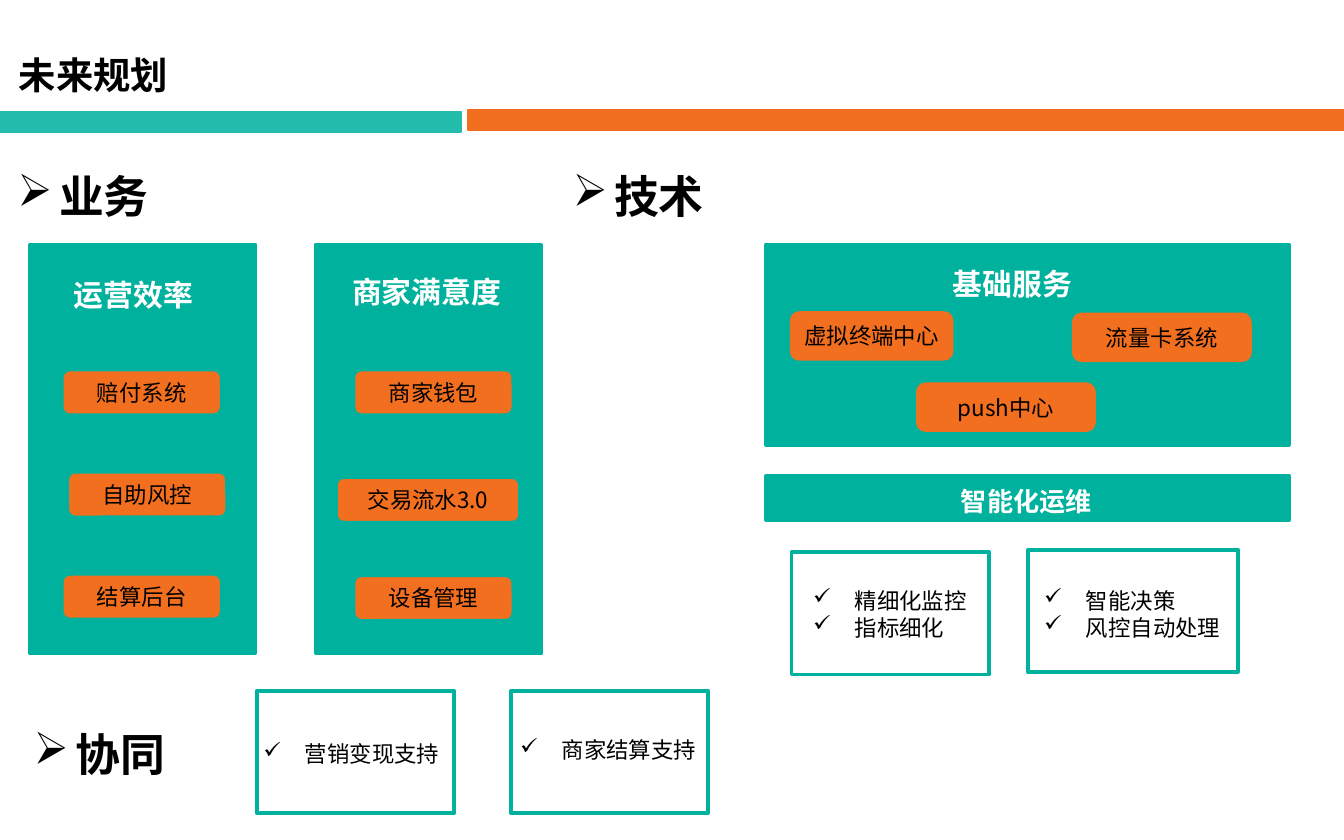
from lxml.etree import SubElement
from pptx import Presentation
from pptx.dml.color import RGBColor
from pptx.enum.shapes import MSO_SHAPE as Shape
from pptx.enum.text import MSO_ANCHOR as Anchor, MSO_AUTO_SIZE as AutoSize, PP_ALIGN as Align
from pptx.oxml.ns import qn
from pptx.util import Inches, Pt

FONT = "Noto Sans CJK SC"
TEAL, LIGHT_TEAL, ORANGE = "00B29D", "24BDAD", "F36F20"
BLACK, WHITE = "000000", "FFFFFF"

# Content: places are left, top, width, height in inches
TITLE = ("未来规划", (0.08, 0.33, 5.43, 0.45))
HEADER_BARS = [((0, 0.83, 3.43, 0.15), LIGHT_TEAL), ((3.48, 0.82, 6.52, 0.15), ORANGE)]
SECTIONS = [("业务", 0.08, 1.21), ("技术", 4.21, 1.21), ("协同", 0.2, 5.36)]

# Panel place, heading, heading place, heading size
PANELS = [
    ((0.22, 1.82, 1.68, 3.04), "运营效率", (0.5, 2.01, 1, 0.37), 16),
    ((2.35, 1.82, 1.68, 3.04), "商家满意度", (2.57, 1.99, 1.22, 0.37), 16),
    ((5.7, 1.82, 3.89, 1.49), "基础服务", (7.04, 1.93, 1, 0.37), 16),
    ((5.7, 3.54, 3.89, 0.33), "智能化运维", (7.1, 3.56, 1.08, 0.34), 14),
]

# Outline colour, then label, left, top, width of each button
BUTTON_HEIGHT = 0.34
BUTTONS = {
    TEAL: [
        ("赔付系统", 0.46, 2.75, 1.19),
        ("自助风控", 0.5, 3.51, 1.19),
        ("结算后台", 0.46, 4.27, 1.19),
        ("商家钱包", 2.63, 2.75, 1.19),
        ("交易流水3.0", 2.5, 3.55, 1.37),
        ("设备管理", 2.63, 4.28, 1.19),
    ],
    ORANGE: [
        ("虚拟终端中心", 5.89, 2.33, 1.19),
        ("流量卡系统", 7.99, 2.34, 1.31),
        ("push中心", 6.83, 2.86, 1.31),
    ],
}

# Frame place, checked items, list place
CHECKLISTS = [
    ((5.89, 4.11, 1.47, 0.91), ["精细化监控", "指标细化"], (6, 4.32, 1.26, 0.5)),
    ((7.65, 4.09, 1.56, 0.91), ["智能决策", "风控自动处理"], (7.72, 4.32, 1.43, 0.5)),
    ((1.91, 5.14, 1.47, 0.91), ["营销变现支持"], (1.91, 5.46, 1.43, 0.3)),
    ((3.8, 5.14, 1.47, 0.91), ["商家结算支持"], (3.82, 5.43, 1.43, 0.3)),
]


def rgb(value):
    return RGBColor.from_string(value)


def add_block(slide, place, fill, line, kind=Shape.RECTANGLE, line_width=2):
    shape = slide.shapes.add_shape(kind, *map(Inches, place))
    shape.shadow.inherit = False
    shape.fill.solid()
    shape.fill.fore_color.rgb = rgb(fill)
    shape.line.color.rgb = rgb(line)
    shape.line.width = Pt(line_width)
    return shape


def write(shape, lines, size, color=BLACK, bold=False, align=Align.LEFT,
          bullet=None, wrap=False, inset=0.05):
    frame = shape.text_frame
    frame.text = "\n".join(lines)
    frame.word_wrap = wrap
    frame.auto_size = AutoSize.SHAPE_TO_FIT_TEXT
    frame.margin_left = frame.margin_right = Inches(inset)
    frame.margin_top = frame.margin_bottom = Inches(inset)
    for paragraph in frame.paragraphs:
        paragraph.alignment = align
        if bullet:
            properties = paragraph._p.get_or_add_pPr()
            properties.set("marL", str(Inches(0.31)))
            properties.set("indent", str(-Inches(0.31)))
            SubElement(properties, qn("a:buChar"), char=bullet)
        for run in paragraph.runs:
            run.font.size = Pt(size)
            run.font.bold = bold
            run.font.color.rgb = rgb(color)
            run.font.name = FONT
            SubElement(run._r.get_or_add_rPr(), qn("a:ea"), typeface=FONT)


def add_text(slide, place, lines, size, **style):
    write(slide.shapes.add_textbox(*map(Inches, place)), lines, size, **style)


def main():
    presentation = Presentation()
    presentation.slide_width, presentation.slide_height = Inches(10), Inches(6.25)
    slide = presentation.slides.add_slide(presentation.slide_layouts[6])

    # Header
    for place, color in HEADER_BARS:
        add_block(slide, place, color, color, line_width=1)
    title, place = TITLE
    add_text(slide, place, [title], 20, bold=True, wrap=True, inset=0.06)

    # Section headings
    for name, left, top in SECTIONS:
        add_text(slide, (left, top, 1.09, 0.5), [name], 24, bold=True, bullet="➢")

    # Panels with their headings
    for place, heading, heading_place, size in PANELS:
        add_block(slide, place, TEAL, TEAL)
        add_text(slide, heading_place, [heading], size, color=WHITE, bold=True)

    # Buttons on the panels
    for outline, buttons in BUTTONS.items():
        for label, left, top, width in buttons:
            button = add_block(slide, (left, top, width, BUTTON_HEIGHT), ORANGE, outline,
                               Shape.ROUNDED_RECTANGLE)
            write(button, [label], 12, align=Align.CENTER, wrap=True)
            button.text_frame.vertical_anchor = Anchor.MIDDLE

    # Framed checklists
    for place, items, list_place in CHECKLISTS:
        add_block(slide, place, WHITE, TEAL)
        add_text(slide, list_place, items, 12, bullet="✓")

    presentation.save("out.pptx")


if __name__ == "__main__":
    main()
